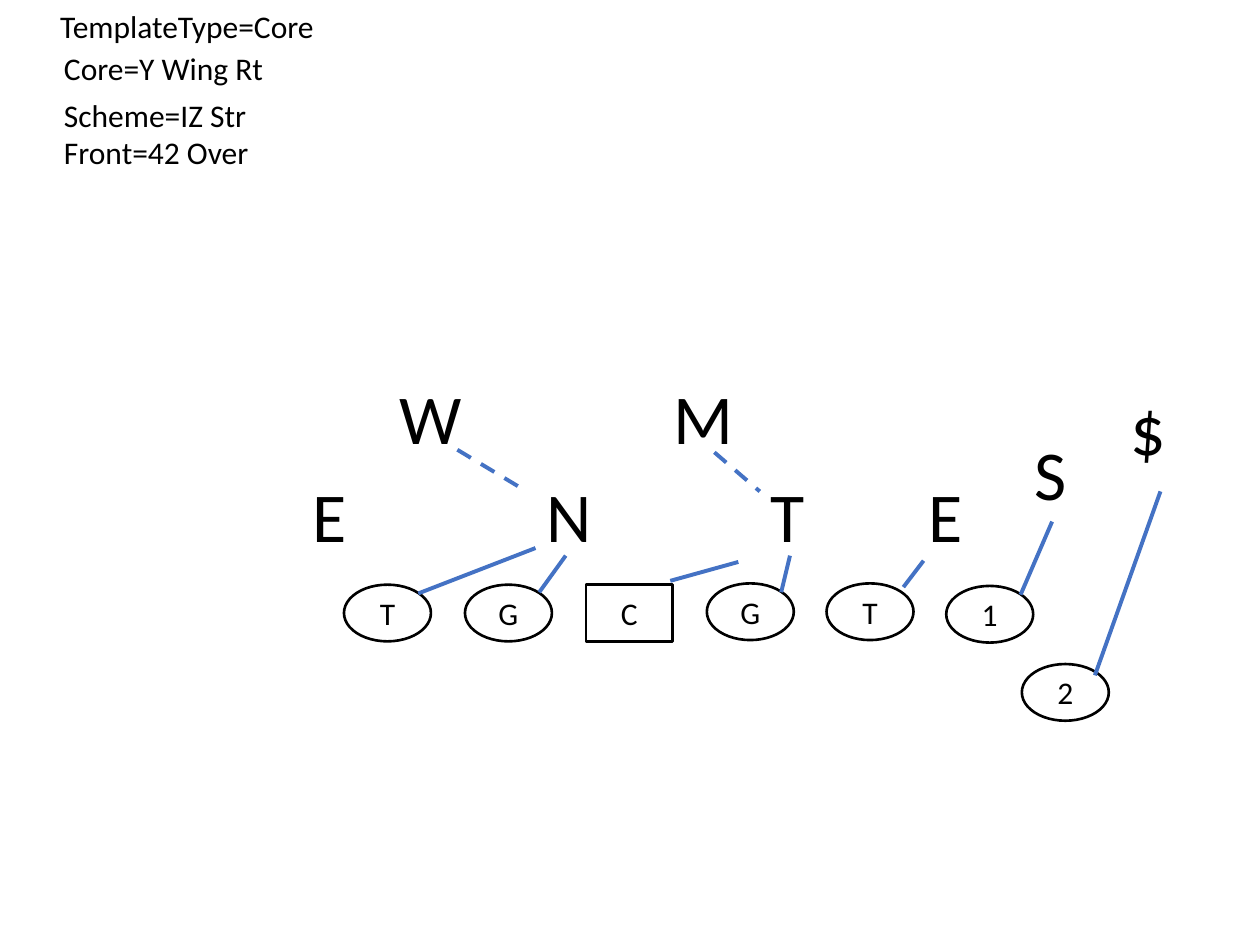
from dataclasses import dataclass

from lxml.etree import SubElement
from pptx import Presentation
from pptx.dml.color import RGBColor
from pptx.enum.dml import MSO_LINE
from pptx.enum.shapes import MSO_CONNECTOR, MSO_SHAPE
from pptx.enum.text import MSO_ANCHOR, MSO_AUTO_SIZE, PP_ALIGN
from pptx.oxml.ns import qn
from pptx.util import Inches, Pt


@dataclass(frozen=True)
class Theme:
    font: str = "Calibri"
    ink: RGBColor = RGBColor(0x00, 0x00, 0x00)
    paper: RGBColor = RGBColor(0xFF, 0xFF, 0xFF)
    block: RGBColor = RGBColor(0x44, 0x72, 0xC4)
    label_size: Pt = Pt(18)
    defender_size: Pt = Pt(40)
    outline: Pt = Pt(1.5)
    block_width: Pt = Pt(2.25)


THEME = Theme()
PLAYER_W, PLAYER_H = 0.69, 0.45
LABEL_H, DEFENDER_H = 0.4, 0.77
LINE_Y = 3.7
BACKER_Y = 2.92

LABELS = [
    ("TemplateType=Core", 0.38, 0.01, 2.24),
    ("Core=Y Wing Rt", 0.41, 0.34, 1.8),
    ("Scheme=IZ Str", 0.41, 0.71, 1.66),
    ("Front=42 Over", 0.41, 1.01, 1.74),
]
OFFENSE = [
    ("T", 2.73, 4.64),
    ("G", 3.69, 4.64),
    ("C", 4.65, 4.64),
    ("G", 5.61, 4.63),
    ("T", 6.56, 4.63),
    ("1", 7.51, 4.65),
    ("2", 8.11, 5.27),
]
DEFENSE = [
    ("E", 2.38, LINE_Y, 0.48),
    ("N", 4.24, LINE_Y, 0.56),
    ("T", 6.02, LINE_Y, 0.48),
    ("E", 7.27, LINE_Y, 0.48),
    ("W", 3.07, BACKER_Y, 0.7),
    ("M", 5.25, BACKER_Y, 0.7),
    ("S", 8.11, 3.37, 0.48),
    ("$", 8.87, 3.01, 0.49),
]
BLOCKS = [
    (3.32, 4.71, 4.25, 4.35),
    (4.28, 4.7, 4.49, 4.41),
    (5.32, 4.61, 5.86, 4.46),
    (6.2, 4.7, 6.27, 4.41),
    (7.33, 4.45, 7.17, 4.66),
    (8.1, 4.72, 8.35, 4.14),
    (8.69, 5.36, 9.21, 3.9),
]
CLIMBS = [
    (3.63, 3.57, 4.18, 3.9),
    (5.67, 3.59, 6.03, 3.9),
]


def write(tf, text, size):
    tf.text = text
    font = tf.paragraphs[0].runs[0].font
    font.name = THEME.font
    font.size = size
    font.color.rgb = THEME.ink


def add_text(s, text, x, y, w, h, size):
    sp = s.shapes.add_textbox(Inches(x), Inches(y), Inches(w), Inches(h))
    tf = sp.text_frame
    tf.word_wrap = False
    tf.auto_size = MSO_AUTO_SIZE.SHAPE_TO_FIT_TEXT
    write(tf, text, size)


def add_player(s, text, x, y):
    kind = MSO_SHAPE.RECTANGLE if text == "C" else MSO_SHAPE.OVAL
    sp = s.shapes.add_shape(kind, Inches(x), Inches(y), Inches(PLAYER_W), Inches(PLAYER_H))
    sp.shadow.inherit = False
    sp.fill.solid()
    sp.fill.fore_color.rgb = THEME.paper
    sp.line.color.rgb = THEME.ink
    sp.line.width = THEME.outline
    tf = sp.text_frame
    tf.vertical_anchor = MSO_ANCHOR.MIDDLE
    write(tf, text, THEME.label_size)
    tf.paragraphs[0].alignment = PP_ALIGN.CENTER


def add_block(s, ends, dashed=False):
    line = s.shapes.add_connector(MSO_CONNECTOR.STRAIGHT, *map(Inches, ends))
    line.line.color.rgb = THEME.block
    line.line.width = THEME.block_width
    if dashed:
        line.line.dash_style = MSO_LINE.DASH
    SubElement(line.element.spPr, qn("a:effectLst"))


def main():
    prs = Presentation()
    prs.slide_width, prs.slide_height = Inches(10), Inches(7.5)
    s = prs.slides.add_slide(prs.slide_layouts[6])
    for text, x, y, w in LABELS:
        add_text(s, text, x, y, w, LABEL_H, THEME.label_size)
    for player in OFFENSE:
        add_player(s, *player)
    for text, x, y, w in DEFENSE:
        add_text(s, text, x, y, w, DEFENDER_H, THEME.defender_size)
    for ends in BLOCKS:
        add_block(s, ends)
    for ends in CLIMBS:
        add_block(s, ends, dashed=True)
    prs.save("out.pptx")


if __name__ == "__main__":
    main()
